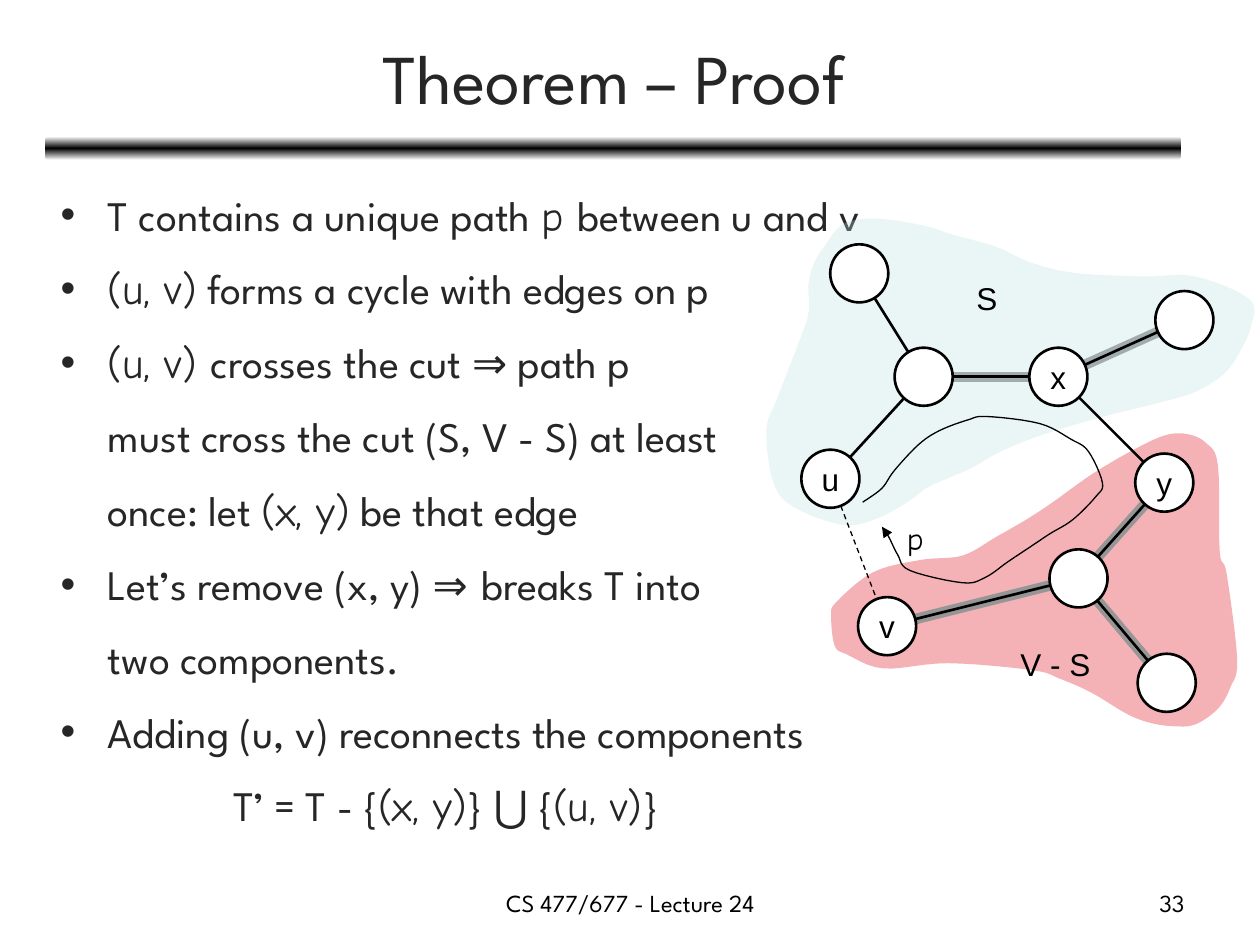
"""Build the theorem proof slide with its spanning-tree cut diagram."""
from copy import deepcopy
from dataclasses import dataclass
from math import hypot
from typing import Any

from lxml.etree import SubElement
from pptx import Presentation
from pptx.dml.color import RGBColor
from pptx.enum.dml import MSO_LINE
from pptx.enum.shapes import MSO_CONNECTOR, MSO_SHAPE
from pptx.enum.text import MSO_ANCHOR, MSO_AUTO_SIZE, PP_ALIGN
from pptx.oxml.ns import qn
from pptx.util import Pt

SPARTAN, COMIC, ARIAL = "League Spartan", "Comic Neue", "Arial"
RADIUS = 16.6


def color(value):
    return RGBColor.from_string(value)


def smooth_curve(points, closed, steps=6):
    n = len(points)

    def at(i):
        return points[i % n] if closed else points[min(max(i, 0), n - 1)]

    curve = [points[0]]
    for i in range(n if closed else n - 1):
        quads = list(zip(at(i - 1), at(i), at(i + 1), at(i + 2)))
        for k in range(1, steps + 1):
            t = k / steps
            curve.append(tuple(
                b + t * (c - a) / 2
                + t * t * (2 * a - 5 * b + 4 * c - d) / 2
                + t ** 3 * (3 * b - a - 3 * c + d) / 2
                for a, b, c, d in quads))
    return curve


@dataclass
class Deck:
    s: Any
    ink: str = "000000"
    text_ink: str = "262626"

    def run(self, p, text, font, size, ink):
        r = p.add_run()
        r.text = text
        r.font.name, r.font.size = font, Pt(size)
        r.font.color.rgb = color(ink)

    def placeholder(self, idx, x, y, w, h, anchor):
        sp = self.s.placeholders[idx]
        sp.left, sp.top, sp.width, sp.height = Pt(x), Pt(y), Pt(w), Pt(h)
        tf = sp.text_frame
        tf.auto_size, tf.vertical_anchor = MSO_AUTO_SIZE.NONE, anchor
        return tf

    def title(self, text):
        tf = self.placeholder(0, 26.6, 8, 648, 71.3, MSO_ANCHOR.MIDDLE)
        p = tf.paragraphs[0]
        p.alignment = PP_ALIGN.CENTER
        self.run(p, text, SPARTAN, 40, self.text_ink)

    def body(self, items):
        tf = self.placeholder(1, 27.4, 95.8, 648, 426, MSO_ANCHOR.TOP)
        for i, (bullet, margin, runs) in enumerate(items):
            p = tf.add_paragraph() if i else tf.paragraphs[0]
            p.line_spacing, p.space_before = 1.3, Pt(4.8 if i else 0)
            pPr = p._p.get_or_add_pPr()
            pPr.set("marL", str(Pt(margin)))
            pPr.set("indent", str(Pt(-margin if bullet else 0)))
            if bullet:
                SubElement(pPr, qn("a:buFont"), typeface=ARIAL)
                SubElement(pPr, qn("a:buChar"), char="•")
            else:
                SubElement(pPr, qn("a:buNone"))
            for text, font in runs:
                self.run(p, text, font, 24, self.text_ink)

    def label(self, text, x, y, w, h, font=ARIAL, size=18, align=PP_ALIGN.LEFT):
        sp = self.s.shapes.add_textbox(Pt(x), Pt(y), Pt(w), Pt(h))
        sp.text_frame.word_wrap = size < 18
        p = sp.text_frame.paragraphs[0]
        p.alignment = align
        self.run(p, text, font, size, self.ink)

    def bar(self, x, y, w, h):
        sp = self.s.shapes.add_shape(MSO_SHAPE.ROUNDED_RECTANGLE, Pt(x), Pt(y), Pt(w), Pt(h))
        sp.shadow.inherit = False
        sp.line.fill.background()
        sp.fill.gradient()
        sp.fill.gradient_angle = 90
        edge, middle = sp.fill.gradient_stops
        edge.color.rgb, edge.position = color("FFFFFF"), 0
        middle.color.rgb, middle.position = color("000000"), 0.5
        stops = sp._element.spPr.find(".//" + qn("a:gsLst"))
        last = deepcopy(stops[0])
        last.set("pos", "100000")
        stops.append(last)

    def node(self, center, text):
        x, y = center
        sp = self.s.shapes.add_shape(MSO_SHAPE.OVAL, Pt(x - RADIUS), Pt(y - RADIUS),
                                     Pt(2 * RADIUS), Pt(2 * RADIUS))
        sp.shadow.inherit = False
        sp.fill.solid()
        sp.fill.fore_color.rgb = color("FFFFFF")
        sp.line.color.rgb, sp.line.width = color(self.ink), Pt(1.5)
        if text:
            tf = sp.text_frame
            tf.word_wrap, tf.vertical_anchor = False, MSO_ANCHOR.MIDDLE
            p = tf.paragraphs[0]
            p.alignment = PP_ALIGN.CENTER
            self.run(p, text, ARIAL, 18, self.ink)

    def edge(self, start, end, ink, width, dash=None):
        (x1, y1), (x2, y2) = start, end
        k = RADIUS / hypot(x2 - x1, y2 - y1)
        dx, dy = k * (x2 - x1), k * (y2 - y1)
        cx = self.s.shapes.add_connector(MSO_CONNECTOR.STRAIGHT, Pt(x1 + dx), Pt(y1 + dy),
                                         Pt(x2 - dx), Pt(y2 - dy))
        cx.line.color.rgb, cx.line.width = color(ink), Pt(width)
        if dash:
            cx.line.dash_style = dash
        SubElement(cx._element.spPr, qn("a:effectLst"))

    def outline(self, points, closed):
        curve = [(Pt(x), Pt(y)) for x, y in smooth_curve(points, closed)]
        builder = self.s.shapes.build_freeform(*curve[0], scale=1.0)
        builder.add_line_segments(curve[1:], close=closed)
        sp = builder.convert_to_shape()
        sp.shadow.inherit = False
        return sp

    def region(self, points, ink):
        sp = self.outline(points, True)
        sp.line.fill.background()
        sp.fill.solid()
        sp.fill.fore_color.rgb = color(ink)
        SubElement(sp._element.spPr.find(".//" + qn("a:srgbClr")), qn("a:alpha"), val="30000")

    def arrow_curve(self, points):
        sp = self.outline(points, False)
        sp.fill.background()
        sp.line.color.rgb, sp.line.width = color(self.ink), Pt(0.75)
        SubElement(sp._element.spPr.find(qn("a:ln")), qn("a:tailEnd"), type="triangle")


BODY = [
    (True, 27, [("T contains a unique path ", SPARTAN), ("p ", COMIC), ("between u and v", SPARTAN)]),
    (True, 27, [("(u, v)", COMIC), (" forms a cycle with edges on p", SPARTAN)]),
    (True, 27, [("(u, v) ", COMIC), ("crosses the cut ⇒ path p", SPARTAN)]),
    (False, 27, [("must cross the cut (S, V - S) at least", SPARTAN)]),
    (False, 27, [("once: let ", SPARTAN), ("(x, y)", COMIC), (" be that edge", SPARTAN)]),
    (True, 27, [("Let’s remove (x, y) ", SPARTAN), ("⇒ ", COMIC), ("breaks T into", SPARTAN)]),
    (False, 27, [("two components.", SPARTAN)]),
    (True, 27, [("Adding (u, v) reconnects the components", SPARTAN)]),
    (False, 99, [("T’ = T - {", SPARTAN), ("(x, y)", COMIC), ("} ⋃ {", SPARTAN),
                 ("(u, v)", COMIC), ("}", SPARTAN)]),
]
NODES = {"u": (474.5, 273.6), "hub": (527.8, 215.3), "x": (604.8, 215.3),
         "right": (676.8, 182.9), "y": (665.3, 275.8), "top": (491, 156.2),
         "fork": (616.3, 330.5), "low": (666.7, 390.2), "v": (506.9, 357.8)}
THICK_EDGES = [("hub", "x"), ("x", "right"), ("v", "fork"), ("fork", "y"), ("fork", "low")]
THIN_EDGES = [("u", "hub"), ("top", "hub"), ("x", "y")]
REST_REGION = [
    (550, 317.5), (526, 320), (499, 327), (478, 344), (475, 352), (477, 369), (484, 374),
    (505, 382), (542, 379), (590, 383), (606, 388), (624, 396), (644, 408), (657, 413),
    (670, 415), (683, 414), (696, 405), (703, 393), (707, 377), (701, 328), (697, 315),
    (696, 266), (689, 253), (678, 248), (665, 249), (646, 258), (624, 271), (603, 286),
    (588, 296), (569, 307)]
S_REGION = [
    (482, 128), (471, 141), (465, 151), (462, 163), (462, 179), (456, 197), (444, 228),
    (438, 246), (442, 276), (454, 290), (482, 300), (502, 296), (520, 286), (531, 278),
    (554, 268), (572, 258), (597, 248), (631, 238), (663, 230), (683, 224), (699, 214),
    (708, 202), (715, 186), (714, 171), (683, 158), (653, 158), (614, 156), (589, 150),
    (569, 141), (544, 134), (528, 129), (501, 125)]
PATH_P = [
    (493, 287), (504, 279), (511, 269), (525, 254), (537, 246), (553, 240), (564, 238),
    (594, 242), (612, 251), (622, 258), (630, 276), (626, 284), (613, 297), (600, 305),
    (588, 313), (576, 321), (563, 330), (550, 333), (520, 326), (513, 317), (508, 307),
    (504, 301)]

prs = Presentation()
prs.slide_width, prs.slide_height = Pt(720), Pt(540)
deck = Deck(prs.slides.add_slide(prs.slide_layouts[1]))
deck.bar(26, 78, 649, 13.5)
deck.title("Theorem – Proof")
deck.body(BODY)
deck.region(REST_REGION, "DD0111")
for a, b in THICK_EDGES:
    deck.edge(NODES[a], NODES[b], "969696", 6)
deck.region(S_REGION, "BBE0E3")
for a, b in THICK_EDGES + THIN_EDGES:
    deck.edge(NODES[a], NODES[b], "000000", 1.5)
deck.edge(NODES["u"], NODES["v"], "000000", 0.75, MSO_LINE.DASH)
for name, center in NODES.items():
    deck.node(center, name if len(name) == 1 else "")
deck.arrow_curve(PATH_P)
deck.label("S", 550.8, 156.2, 26.6, 28.8)
deck.label("V - S", 576, 365, 54.7, 28.8)
deck.label("p", 511.2, 293, 24.5, 28.8, COMIC)
deck.label("CS 477/677 - Lecture 24", 246.2, 504, 228.2, 25.2, SPARTAN, 14, PP_ALIGN.CENTER)
deck.label("33", 516.2, 504, 167.8, 25.2, SPARTAN, 14, PP_ALIGN.RIGHT)
prs.save("out.pptx")
